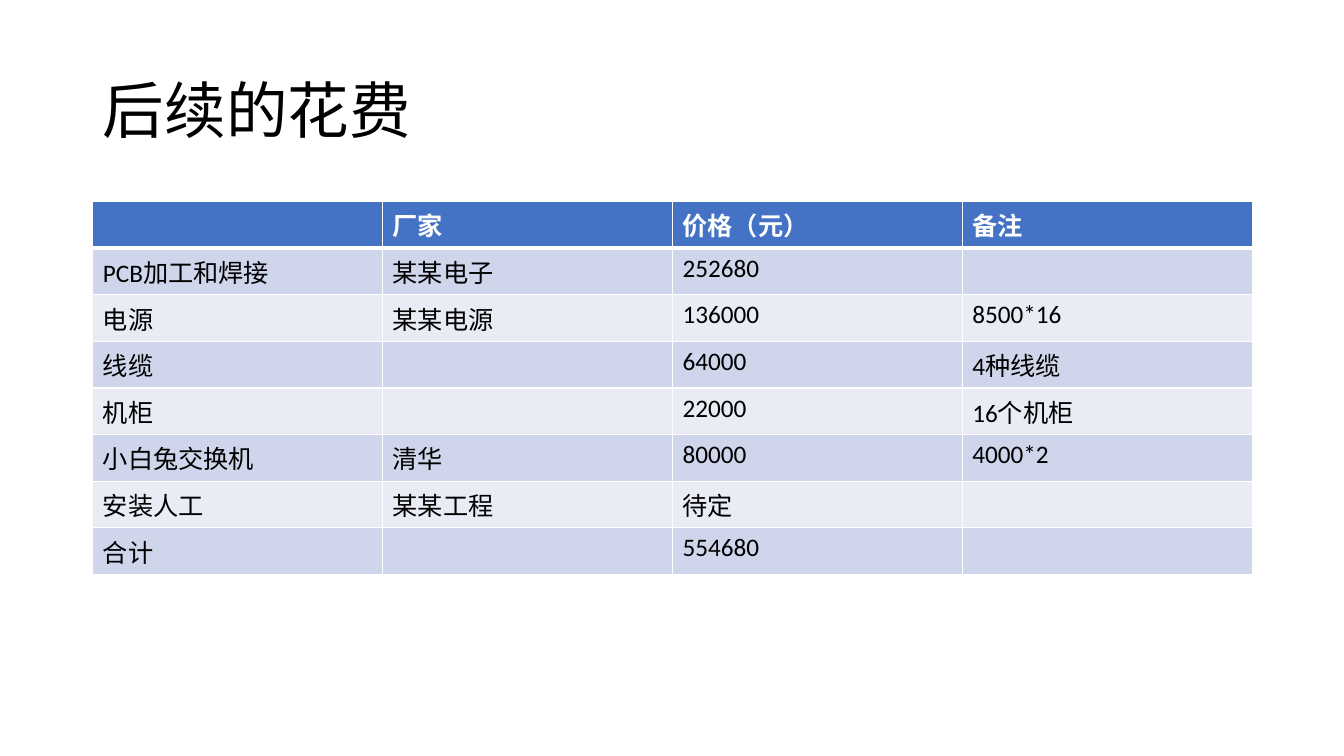
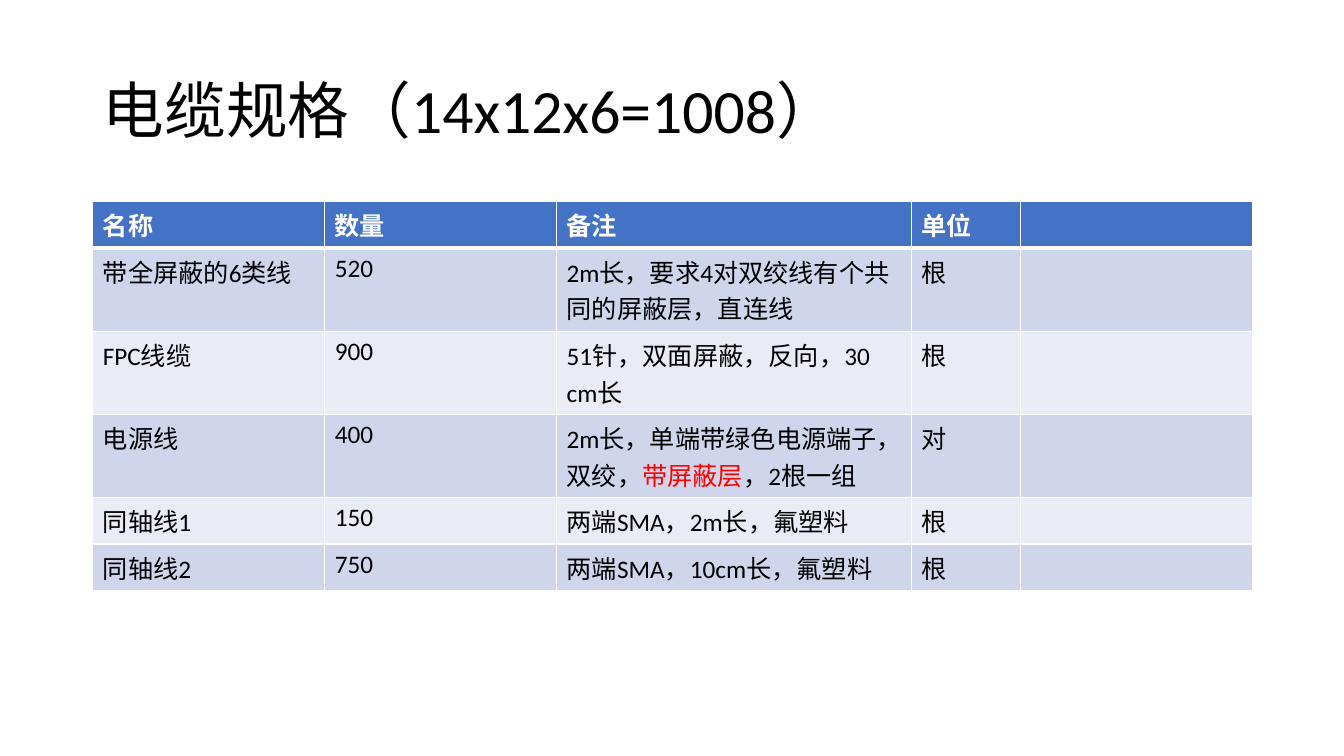
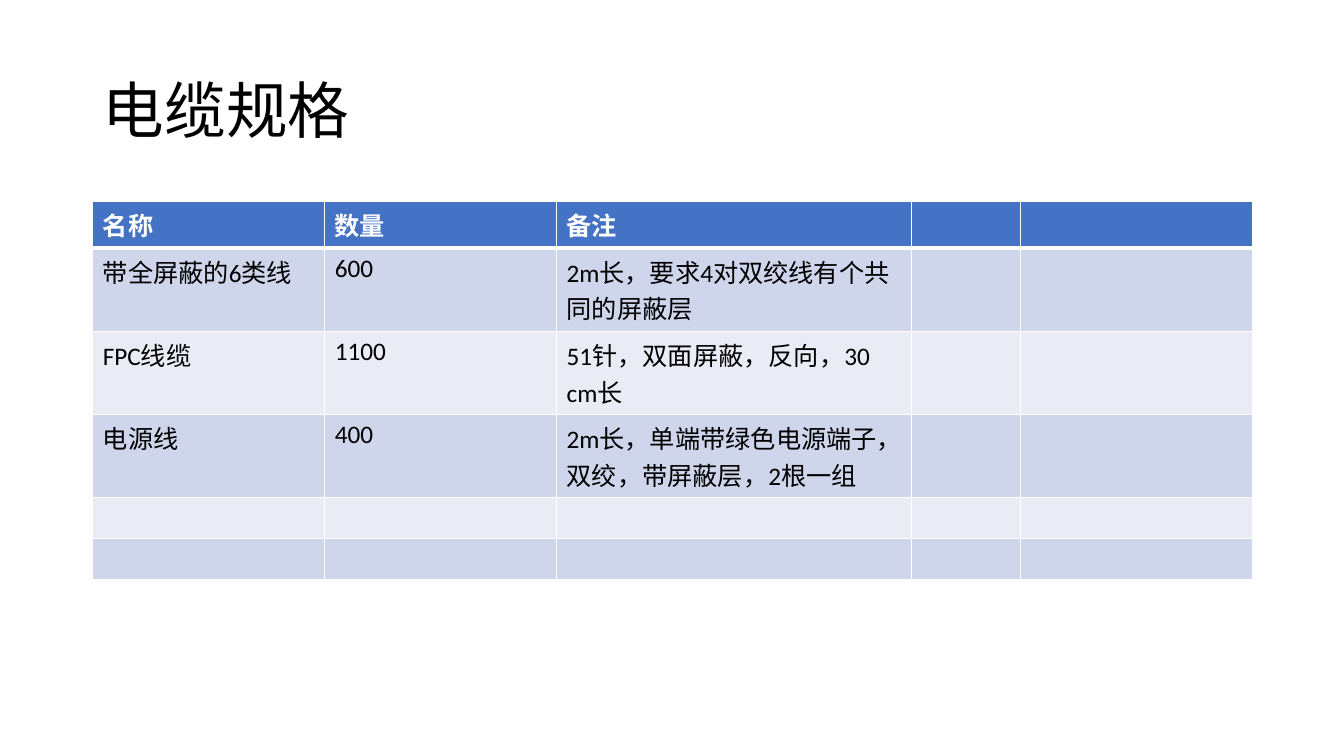
from lxml import etree
from pptx import Presentation
from pptx.dml.color import RGBColor
from pptx.enum import text
from pptx.oxml import ns
from pptx.util import Inches, Pt

# Shared look
FONT = "Calibri"
BLACK = RGBColor(0x00, 0x00, 0x00)
WHITE = RGBColor(0xFF, 0xFF, 0xFF)
RED = RGBColor(0xFF, 0x00, 0x00)
HEADER_FILL = RGBColor(0x44, 0x72, 0xC4)
BAND_FILLS = (RGBColor(0xE9, 0xEB, 0xF5), RGBColor(0xCF, 0xD5, 0xEA))
LEFT, WIDTH = 0.92, 11.5
TITLE_TOP, TITLE_HEIGHT = 0.4, 1.45
TABLE_TOP, ROW_HEIGHT = 2, 0.41
THIN, THICK = 1, 3

# Content: in a cell given as a tuple, every second part is highlighted
COST_COLUMNS = [WIDTH / 4] * 4
CABLE_COLUMNS = [2.3, 2.3, 3.52, 1.08, 2.3]
SHIELDED_CABLE = "带全屏蔽的6类线"
SHIELDED_NOTE = "2m长，要求4对双绞线有个共同的屏蔽层"
FPC_CABLE, FPC_NOTE = "FPC线缆", "51针，双面屏蔽，反向，30 cm长"
POWER_NOTE = ("2m长，单端带绿色电源端子，双绞，", "带屏蔽层", "，2根一组")

SLIDES = [
    ("后续的花费", COST_COLUMNS, [
        ("", "厂家", "价格（元）", "备注"),
        ("PCB加工和焊接", "某某电子", "252680", ""),
        ("电源", "某某电源", "136000", "8500*16"),
        ("线缆", "", "64000", "4种线缆"),
        ("机柜", "", "22000", "16个机柜"),
        ("小白兔交换机", "清华", "80000", "4000*2"),
        ("安装人工", "某某工程", "待定", ""),
        ("合计", "", "554680", ""),
    ]),
    ("电缆规格（14x12x6=1008）", CABLE_COLUMNS, [
        ("名称", "数量", "备注", "单位", ""),
        (SHIELDED_CABLE, "520", SHIELDED_NOTE + "，直连线", "根", ""),
        (FPC_CABLE, "900", FPC_NOTE, "根", ""),
        ("电源线", "400", POWER_NOTE, "对", ""),
        ("同轴线1", "150", "两端SMA，2m长，氟塑料", "根", ""),
        ("同轴线2", "750", "两端SMA，10cm长，氟塑料", "根", ""),
    ]),
    ("电缆规格", CABLE_COLUMNS, [
        ("名称", "数量", "备注", "", ""),
        (SHIELDED_CABLE, "600", SHIELDED_NOTE, "", ""),
        (FPC_CABLE, "1100", FPC_NOTE, "", ""),
        ("电源线", "400", "".join(POWER_NOTE), "", ""),
        ("",) * 5,
        ("",) * 5,
    ]),
]


def set_font(font, size, color, bold=False):
    font.name, font.size, font.bold = FONT, Pt(size), bold
    font.color.rgb = color


def set_borders(cell, top, bottom):
    properties = cell._tc.get_or_add_tcPr()
    for side, width in (("L", THIN), ("R", THIN), ("T", top), ("B", bottom)):
        line = etree.SubElement(properties, ns.qn(f"a:ln{side}"), w=str(Pt(width)))
        fill = etree.SubElement(line, ns.qn("a:solidFill"))
        etree.SubElement(fill, ns.qn("a:srgbClr"), val=str(WHITE))


def fill_cell(cell, content, row):
    header = row == 0
    set_borders(cell, THICK if row == 1 else THIN, THICK if header else THIN)
    cell.fill.solid()
    cell.fill.fore_color.rgb = HEADER_FILL if header else BAND_FILLS[row % 2]
    paragraph = cell.text_frame.paragraphs[0]
    color = WHITE if header else BLACK
    set_font(paragraph.font, 18, color, header)
    parts = content if isinstance(content, tuple) else (content,)
    for index, part in enumerate(parts):
        if part:
            run = paragraph.add_run()
            run.text = part
            set_font(run.font, 18, RED if index % 2 else color, header)


def add_title(slide, heading):
    frame = slide.shapes.title.text_frame
    frame.text = heading
    paragraph = frame.paragraphs[0]
    paragraph.alignment = text.PP_ALIGN.LEFT
    paragraph.line_spacing = 0.9
    set_font(paragraph.runs[0].font, 44, BLACK)


def add_grid(slide, columns, rows):
    table = slide.shapes.add_table(
        len(rows), len(columns), Inches(LEFT), Inches(TABLE_TOP),
        Inches(WIDTH), Inches(ROW_HEIGHT * len(rows))).table
    for column, width in zip(table.columns, columns):
        column.width = Inches(width)
    for r, row in enumerate(rows):
        table.rows[r].height = Inches(ROW_HEIGHT)
        for c, content in enumerate(row):
            fill_cell(table.cell(r, c), content, r)


def main():
    deck = Presentation()
    deck.slide_width, deck.slide_height = Inches(13.33), Inches(7.5)

    # Title position, inherited by every slide
    layout = deck.slide_layouts.get_by_name("Title Only")
    title = layout.placeholders[0]
    title.left, title.top = Inches(LEFT), Inches(TITLE_TOP)
    title.width, title.height = Inches(WIDTH), Inches(TITLE_HEIGHT)
    title.text_frame.vertical_anchor = text.MSO_ANCHOR.MIDDLE

    for heading, columns, rows in SLIDES:
        slide = deck.slides.add_slide(layout)
        add_title(slide, heading)
        add_grid(slide, columns, rows)
    deck.save("out.pptx")


if __name__ == "__main__":
    main()
